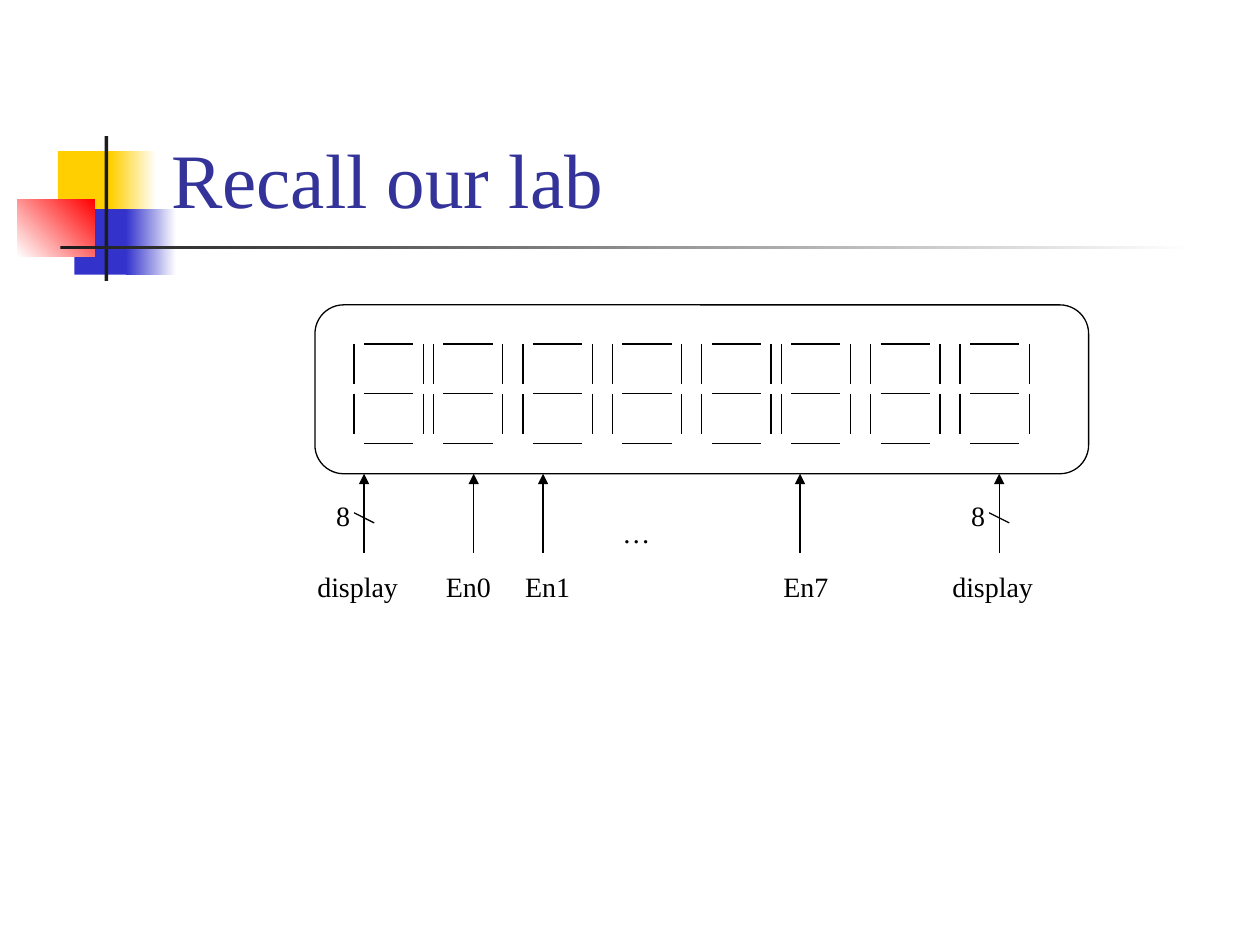
from dataclasses import dataclass
from typing import Optional

from lxml import etree
from pptx import Presentation
from pptx.dml.color import RGBColor
from pptx.enum.shapes import MSO_CONNECTOR, MSO_SHAPE
from pptx.enum.text import MSO_ANCHOR, MSO_AUTO_SIZE, PP_ALIGN
from pptx.oxml.ns import qn
from pptx.util import Inches, Pt

STRAIGHT = MSO_CONNECTOR.STRAIGHT
RECTANGLE = MSO_SHAPE.RECTANGLE
ROUNDED = MSO_SHAPE.ROUNDED_RECTANGLE
BOTTOM = MSO_ANCHOR.BOTTOM
TOP = MSO_ANCHOR.TOP
LEFT = PP_ALIGN.LEFT
NO_AUTOFIT = MSO_AUTO_SIZE.NONE
TITLE_ONLY = 5


@dataclass(frozen=True)
class Theme:
    font: str = "Times New Roman"
    title_size: float = 44
    label_size: float = 16
    line_width: float = 0.75
    title: str = "333399"
    ink: str = "000000"
    white: str = "FFFFFF"
    yellow: str = "FFCF01"
    blue: str = "3333CC"
    red: str = "FF0000"
    dark: str = "1C1C1C"


THEME = Theme()


@dataclass(frozen=True)
class Block:
    left: float
    top: float
    width: float
    height: float
    color: str
    end_color: Optional[str] = None
    angle: float = 0


@dataclass(frozen=True)
class Signal:
    label: str
    arrow_x: float
    label_left: float
    label_width: float
    bus_width: Optional[str] = None


ORNAMENT = [
    Block(0.46, 1.2, 0.48, 0.52, THEME.yellow),
    Block(0.88, 1.2, 0.36, 0.52, THEME.yellow, THEME.white),
    Block(0.59, 1.66, 0.46, 0.52, THEME.blue),
    Block(1, 1.66, 0.4, 0.52, THEME.blue, THEME.white),
    Block(0.14, 1.58, 0.61, 0.46, THEME.white, THEME.red, 45),
    Block(0.83, 1.08, 0.03, 1.15, THEME.dark),
    Block(0.48, 1.95, 9, 0.03, THEME.dark, THEME.white),
]

SIGNALS = [
    Signal("display", 2.89, 2.42, 0.85, "8"),
    Signal("display", 7.93, 7.46, 0.85, "8"),
    Signal("En0", 3.76, 3.44, 0.56),
    Signal("En1", 4.31, 4.07, 0.56),
    Signal("En7", 6.35, 6.12, 0.56),
]

DIGIT_LEFTS = [2.81, 3.44, 4.15, 4.86, 5.57, 6.2, 6.91, 7.62]
DIGIT_TOP = 2.73
DIGIT_WIDTH = 0.55
SEGMENT_GAP = 0.08
SEGMENT_HEIGHT = 0.32
ROW_PITCH = 0.395
PANEL_BOTTOM = 3.76
LABEL_HEIGHT = 0.37


def rgb(color: str) -> RGBColor:
    return RGBColor.from_string(color)


def draw_block(slide, block: Block) -> None:
    shape = slide.shapes.add_shape(
        RECTANGLE, Inches(block.left), Inches(block.top),
        Inches(block.width), Inches(block.height))
    shape.shadow.inherit = False
    shape.line.fill.background()
    if block.end_color is None:
        shape.fill.solid()
        shape.fill.fore_color.rgb = rgb(block.color)
    else:
        shape.fill.gradient()
        shape.fill.gradient_angle = block.angle
        for stop, color in zip(shape.fill.gradient_stops, (block.color, block.end_color)):
            stop.color.rgb = rgb(color)


def draw_line(slide, x1: float, y1: float, x2: float, y2: float, arrow: bool = False) -> None:
    line = slide.shapes.add_connector(
        STRAIGHT, Inches(x1), Inches(y1), Inches(x2), Inches(y2))
    line.line.color.rgb = rgb(THEME.ink)
    line.line.width = Pt(THEME.line_width)
    if arrow:
        etree.SubElement(line.line._get_or_add_ln(), qn("a:tailEnd"), type="triangle")
    etree.SubElement(line._element.spPr, qn("a:effectLst"))


def write_text(frame, text: str, *, size: float = THEME.label_size,
               color: str = THEME.ink, anchor=TOP, wrap: bool = False) -> None:
    frame.auto_size = NO_AUTOFIT
    frame.word_wrap = wrap
    frame.vertical_anchor = anchor
    paragraph = frame.paragraphs[0]
    paragraph.alignment = LEFT
    run = paragraph.add_run()
    run.text = text
    run.font.name = THEME.font
    run.font.size = Pt(size)
    run.font.color.rgb = rgb(color)


def draw_label(slide, text: str, left: float, top: float, width: float) -> None:
    label = slide.shapes.add_textbox(
        Inches(left), Inches(top), Inches(width), Inches(LABEL_HEIGHT))
    write_text(label.text_frame, text)


def draw_digit(slide, left: float) -> None:
    right = left + DIGIT_WIDTH
    for row in range(3):
        y = DIGIT_TOP + row * ROW_PITCH
        draw_line(slide, left + SEGMENT_GAP, y, right - SEGMENT_GAP, y)
        if row < 2:
            for x in (left, right):
                draw_line(slide, x, y, x, y + SEGMENT_HEIGHT)


def draw_panel(slide) -> None:
    panel = slide.shapes.add_shape(
        ROUNDED, Inches(2.5), Inches(2.42), Inches(6.14), Inches(1.34))
    panel.adjustments[0] = 0.17
    panel.shadow.inherit = False
    panel.fill.background()
    panel.line.color.rgb = rgb(THEME.ink)
    panel.line.width = Pt(THEME.line_width)


def draw_signal(slide, signal: Signal) -> None:
    x = signal.arrow_x
    draw_line(slide, x, 4.39, x, PANEL_BOTTOM, arrow=True)
    if signal.bus_width:
        draw_line(slide, x - 0.08, 4.07, x + 0.08, 4.15)
        draw_label(slide, signal.bus_width, x - 0.32, 3.91, 0.31)
    draw_label(slide, signal.label, signal.label_left, 4.47, signal.label_width)


def main() -> None:
    deck = Presentation()
    deck.slide_width, deck.slide_height = Inches(10), Inches(7.5)
    slide = deck.slides.add_slide(deck.slide_layouts[TITLE_ONLY])
    for block in ORNAMENT:
        draw_block(slide, block)

    title = slide.shapes.title
    title.left, title.top = Inches(1.26), Inches(0.23)
    title.width, title.height = Inches(8.52), Inches(1.6)
    write_text(title.text_frame, "Recall our lab", size=THEME.title_size,
               color=THEME.title, anchor=BOTTOM, wrap=True)

    for left in DIGIT_LEFTS:
        draw_digit(slide, left)
    draw_panel(slide)
    for signal in SIGNALS:
        draw_signal(slide, signal)
    draw_label(slide, "…", 4.84, 4.04, 0.42)
    deck.save("out.pptx")


if __name__ == "__main__":
    main()
